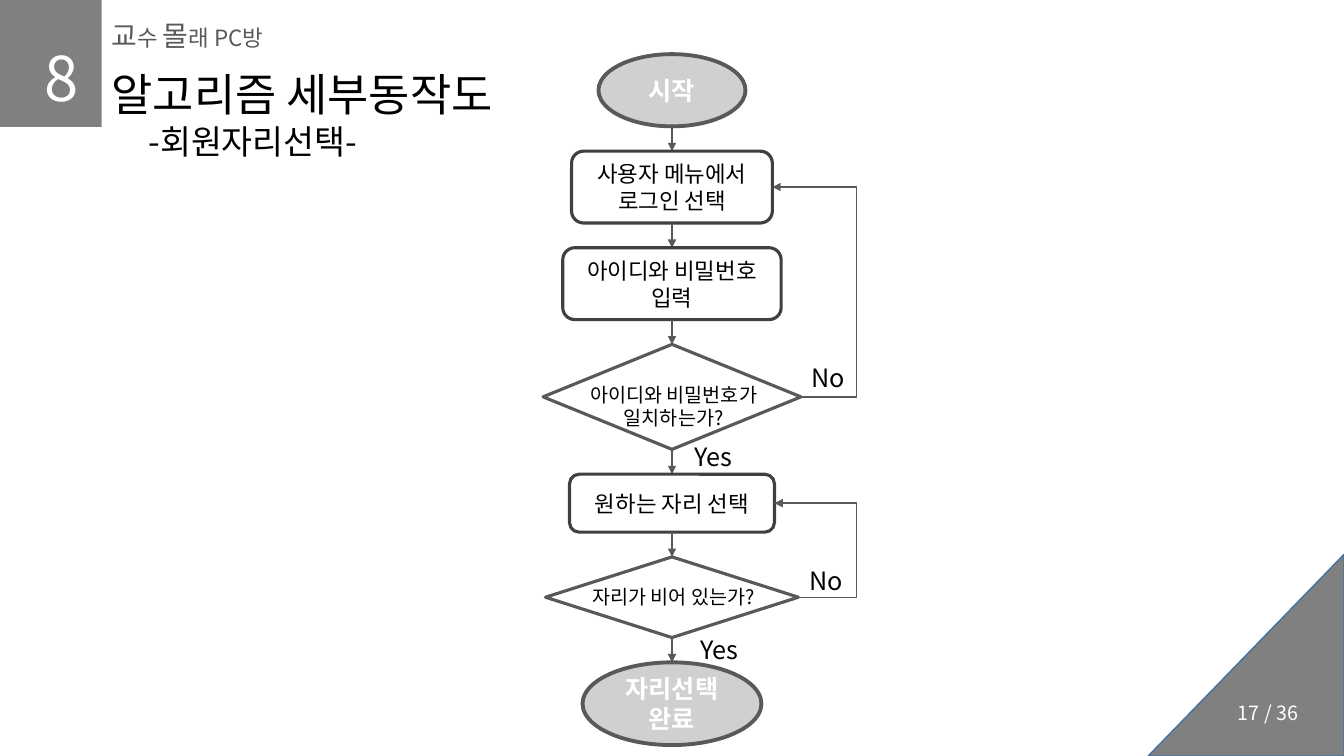
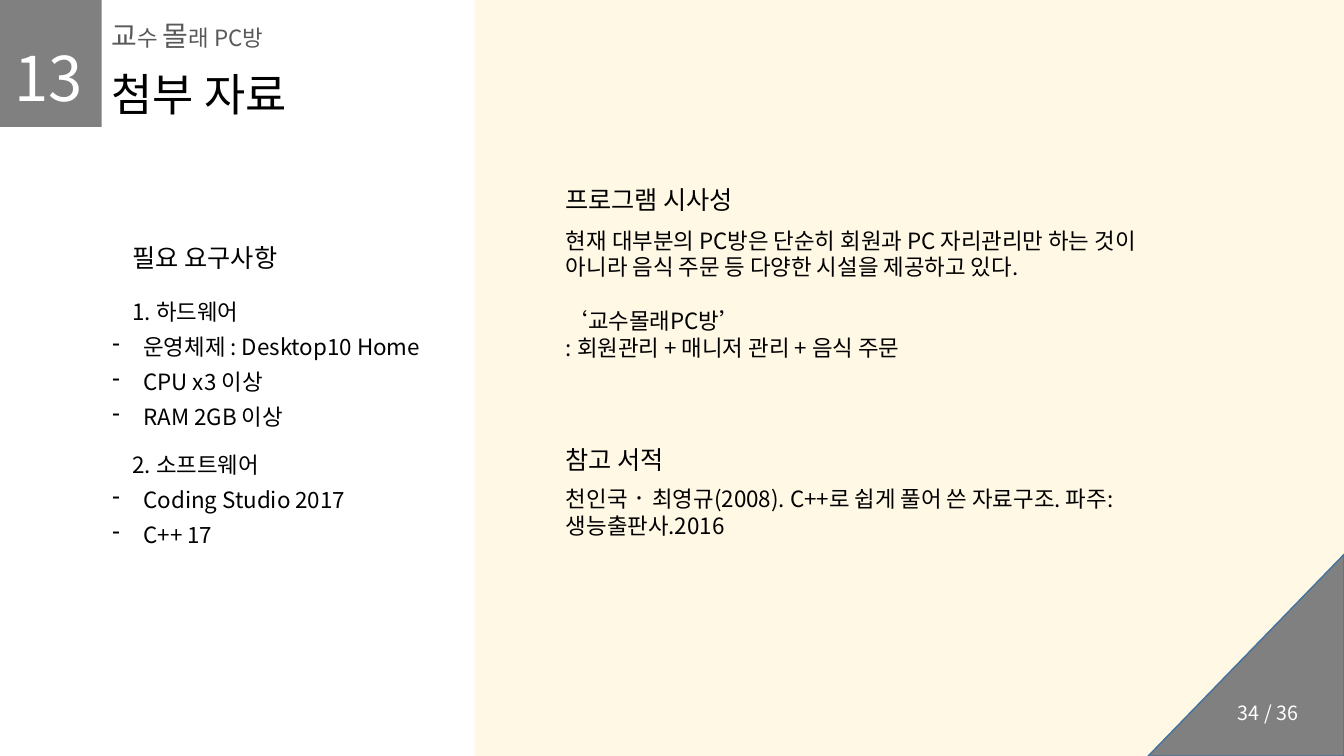
from dataclasses import dataclass

from lxml.etree import SubElement
from pptx import Presentation
from pptx.dml.color import RGBColor
from pptx.enum.shapes import MSO_CONNECTOR, MSO_SHAPE
from pptx.enum.text import MSO_ANCHOR, PP_ALIGN
from pptx.oxml.ns import qn
from pptx.util import Inches, Pt

COLUMNS, ROWS = 160, 90


@dataclass(frozen=True)
class Theme:
    font: str = "Noto Sans CJK KR"
    white: str = "FFFFFF"
    black: str = "000000"
    band: str = "808080"
    band_edge: str = "43739E"
    muted: str = "595959"
    box_edge: str = "404040"
    terminal: str = "AFABAB"
    accent: str = "FFC000"
    number: int = 44
    title: int = 32
    subtitle: int = 24
    brand: int = 20
    heading: int = 18
    body: int = 16
    small: int = 14


@dataclass
class Line:
    """One paragraph; runs is a text or a list of (text, size)."""
    runs: object
    size: float = 16
    margin: float = 0
    first: float = 0
    bullet: str = ""
    spacing: float = 0
    before: float = 0


class Deck:
    def __init__(self, theme):
        self.theme = theme
        self.presentation = Presentation()
        self.presentation.slide_width = Inches(13.33)
        self.presentation.slide_height = Inches(7.5)
        self.slide = None

    def x(self, columns):
        return int(self.presentation.slide_width * columns / COLUMNS)

    def y(self, rows):
        return int(self.presentation.slide_height * rows / ROWS)

    def place(self, left, top, width, height):
        return self.x(left), self.y(top), self.x(width), self.y(height)

    def new_slide(self):
        self.slide = self.presentation.slides.add_slide(self.presentation.slide_layouts[6])

    # Text
    def set_lines(self, text_frame, lines, color, align=PP_ALIGN.LEFT, bold=False):
        text_frame.word_wrap = True
        for index, line in enumerate(lines):
            paragraph = text_frame.paragraphs[0] if index == 0 else text_frame.add_paragraph()
            properties = paragraph._p.get_or_add_pPr()
            properties.set("marL", str(self.x(line.margin)))
            properties.set("indent", str(self.x(line.first)))
            if line.bullet:
                SubElement(properties, qn("a:buChar")).set("char", line.bullet)
            paragraph.alignment = align
            if line.spacing:
                paragraph.line_spacing = line.spacing
            if line.before:
                paragraph.space_before = Pt(line.before)
            pieces = [(line.runs, line.size)] if isinstance(line.runs, str) else line.runs
            for text, size in pieces:
                run = paragraph.add_run()
                run.text = text
                run.font.size = Pt(size)
                run.font.bold = bold
                run.font.color.rgb = RGBColor.from_string(color)
                run.font.name = self.theme.font
                east_asian = SubElement(run._r.get_or_add_rPr(), qn("a:ea"))
                east_asian.set("typeface", self.theme.font)

    def text(self, left, top, width, height, lines, color=None, align=PP_ALIGN.LEFT):
        box = self.slide.shapes.add_textbox(*self.place(left, top, width, height))
        self.set_lines(box.text_frame, lines, color or self.theme.black, align)

    # Shapes
    def shape(self, kind, left, top, width, height, fill=None, alpha=None, edge=None, weight=1):
        shape = self.slide.shapes.add_shape(kind, *self.place(left, top, width, height))
        shape.shadow.inherit = False
        if fill:
            shape.fill.solid()
            shape.fill.fore_color.rgb = RGBColor.from_string(fill)
            if alpha:
                color = shape._element.spPr.find(qn("a:solidFill"))[0]
                SubElement(color, qn("a:alpha")).set("val", str(alpha * 1000))
        else:
            shape.fill.background()
        if edge:
            shape.line.color.rgb = RGBColor.from_string(edge)
            shape.line.width = Pt(weight)
        else:
            shape.line.fill.background()
        return shape

    def node(self, kind, top, width, height, texts, shift=0):
        """Draw one flowchart step centred on the slide."""
        theme = self.theme
        left = (COLUMNS - width) / 2
        if kind == "decision":
            self.shape(MSO_SHAPE.FLOWCHART_DECISION, left, top, width, height,
                       edge=theme.muted, weight=2.25)
            label_width, label_height = 24.2, 4.1 if shift == 0 else 6.8
            self.text((COLUMNS - label_width) / 2 + 0.2,
                      top + (height - label_height) / 2 + shift,
                      label_width, label_height,
                      [Line(text, theme.small) for text in texts], align=PP_ALIGN.CENTER)
            return
        if kind == "terminal":
            shape = self.shape(MSO_SHAPE.OVAL, left, top, width, height,
                               theme.terminal, 56, theme.muted, 2.75)
            size, color = theme.heading, theme.white
        else:
            shape = self.shape(MSO_SHAPE.ROUNDED_RECTANGLE, left, top, width, height,
                               edge=theme.box_edge, weight=2.25)
            size, color = theme.body, theme.black
        shape.text_frame.vertical_anchor = MSO_ANCHOR.MIDDLE
        self.set_lines(shape.text_frame, [Line(text, size) for text in texts], color,
                       PP_ALIGN.CENTER, kind == "terminal")

    def arrow(self, start, end, elbow=None):
        """Draw an arrow; elbow is the column where a bent one turns."""
        kind = MSO_CONNECTOR.STRAIGHT if elbow is None else MSO_CONNECTOR.ELBOW
        connector = self.slide.shapes.add_connector(
            kind, self.x(start[0]), self.y(start[1]), self.x(end[0]), self.y(end[1]))
        connector.line.color.rgb = RGBColor.from_string(self.theme.muted)
        connector.line.width = Pt(1)
        properties = connector._element.spPr
        SubElement(properties.find(qn("a:ln")), qn("a:tailEnd")).set("type", "triangle")
        SubElement(properties, qn("a:effectLst"))
        if elbow is not None:
            share = (elbow - start[0]) / (end[0] - start[0])
            geometry = properties.find(qn("a:prstGeom"))
            adjustments = geometry.find(qn("a:avLst"))
            if adjustments is None:
                adjustments = SubElement(geometry, qn("a:avLst"))
            guide = SubElement(adjustments, qn("a:gd"))
            guide.set("name", "adj1")
            guide.set("fmla", f"val {round(share * 100000)}")

    # Parts every slide shares
    def frame(self, number, number_left, title, page, subtitle=None):
        theme = self.theme
        band_width, band_height = 12.1, 15.1
        self.shape(MSO_SHAPE.RECTANGLE, 0, 0, band_width, band_height, theme.band)
        self.text(number_left, 4.2, band_width - number_left, 10.1,
                  [Line(number, theme.number)], theme.white)
        self.text(band_width, 1.6, 24.4, 5.3,
                  [Line([("교", theme.brand), ("수 ", theme.body),
                         ("몰", theme.brand), ("래 PC방", theme.body)])], theme.muted)
        lines = [Line(title, theme.title)]
        if subtitle:
            lines.append(Line(subtitle, theme.subtitle, margin=4.4))
        self.text(band_width, 7.4, 50.3, 12.5 if subtitle else 7.7, lines)
        # Corner triangle, turned so that its right angle sits in the slide's corner
        length, depth = 24, 23.3
        middle = (length + depth) / 2
        corner = self.shape(MSO_SHAPE.RIGHT_TRIANGLE, COLUMNS - middle, ROWS - middle,
                            length, depth, theme.band, edge=theme.band_edge)
        corner.rotation = 270
        self.text(146.2, 82.9, 11, 4.1, [Line(page, theme.small)], theme.white)

    def section(self, top, heading, body_top, body_height, lines):
        self.text(63.7, top, 45.5, 5.6,
                  [Line(heading, self.theme.heading, first=2.4, spacing=1.3)])
        self.text(66.2, body_top, 70.8, body_height, lines)


def seat_flowchart(deck):
    deck.new_slide()
    deck.frame("8", 4.1, "알고리즘 세부동작도", "17 / 36", "-회원자리선택-")

    # Steps run down the middle with equal gaps
    steps = [
        ("terminal", 17.5, 8.6, ["시작"], 0),
        ("process", 23.9, 8.55, ["사용자 메뉴에서 로그인 선택"], 0),
        ("process", 26, 8.55, ["아이디와 비밀번호", "입력"], 0),
        ("decision", 30.7, 12.5, ["아이디와 비밀번호가 일치하는가?"], 1.1),
        ("process", 24.4, 6.9, ["원하는 자리 선택"], 0),
        ("decision", 30.1, 9.6, ["자리가 비어 있는가?"], 0),
        ("terminal", 21.3, 9.85, ["자리선택 완료"], 0),
    ]
    top, gap, center = 6.45, 2.95, COLUMNS / 2
    right_ends = []
    for index, (kind, width, height, texts, shift) in enumerate(steps):
        if index:
            deck.arrow((center, top - gap), (center, top))
        deck.node(kind, top, width, height, texts, shift)
        right_ends.append((center + width / 2, top + height / 2))
        top += height + gap

    # Loops back from a failed check
    for source, target in ((3, 1), (5, 4)):
        deck.arrow(right_ends[source], right_ends[target], elbow=102)

    # Branch labels
    for left, label_top, label in ((95.4, 42.6, "No"), (95.2, 66.7, "No"),
                                   (81.5, 52, "Yes"), (82.2, 74.9, "Yes")):
        deck.text(left, label_top, 9.1, 4.8, [Line(label, deck.theme.heading)])


def appendix(deck):
    theme = deck.theme
    deck.new_slide()
    panel_left = 56.5
    deck.shape(MSO_SHAPE.RECTANGLE, panel_left, 0, COLUMNS - panel_left, ROWS, theme.accent, 10)
    deck.frame("13", 0.5, "첨부 자료", "34 / 36")

    # Requirements
    groups = [
        ("1. 하드웨어", 12.5, ["운영체제 : Desktop10 Home", "CPU x3 이상", "RAM 2GB 이상"]),
        ("2. 소프트웨어", 9.5, ["Coding Studio 2017", "C++ 17"]),
    ]
    lines = [Line("필요 요구사항", theme.heading, first=2.4, spacing=1.3)]
    for name, before, items in groups:
        lines.append(Line(name, theme.body, first=2.4, spacing=1.3, before=before))
        lines += [Line(item, theme.body, margin=3.7, first=-3.7, bullet="-", spacing=1.3)
                  for item in items]
    deck.text(12.2, 27.2, 41, 38.8, lines)

    # Relevance and references
    deck.section(20.3, "프로그램 시사성", 26.4, 17.4, [
        Line("현재 대부분의 PC방은 단순히 회원과 PC 자리관리만 하는 "
             "것이 아니라 음식 주문 등 다양한 시설을 제공하고 있다."),
        Line("‘교수몰래PC방’", before=19),
        Line(": 회원관리 + 매니저 관리 + 음식 주문"),
    ])
    deck.section(51.2, "참고 서적", 56.8, 8, [
        Line([("천인국 ", theme.body), ("· ", theme.heading),
              ("최영규(2008). C++로 쉽게 풀어 쓴 자료구조. 파주: 생능출판사.2016", theme.body)]),
    ])


def main():
    deck = Deck(Theme())
    seat_flowchart(deck)
    appendix(deck)
    deck.presentation.save("out.pptx")


if __name__ == "__main__":
    main()
